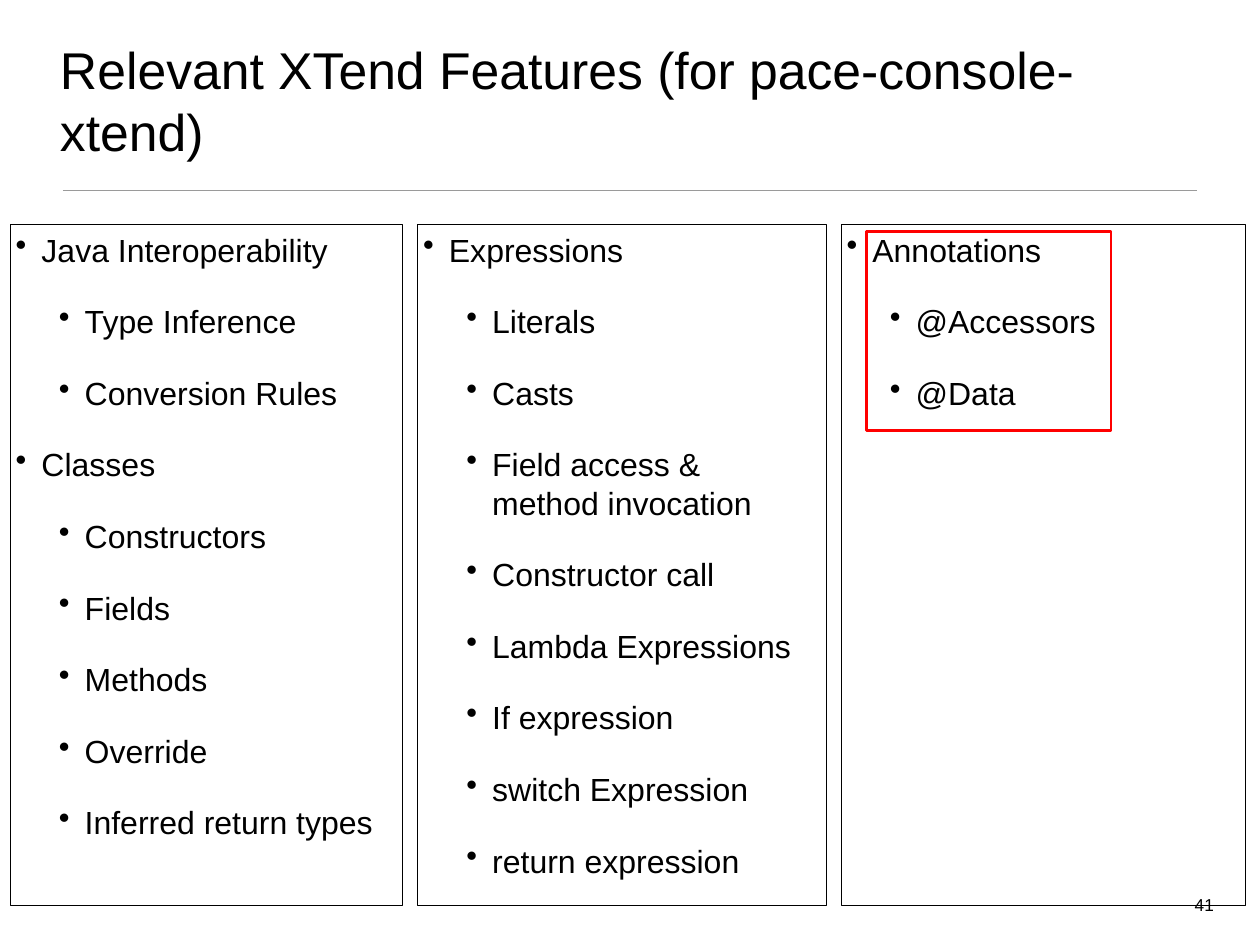
import dataclasses
import typing

import lxml.etree
import pptx
import pptx.dml.color
import pptx.enum.shapes
import pptx.enum.text
import pptx.oxml
import pptx.oxml.ns
import pptx.shapes.autoshape
import pptx.slide
import pptx.text.text
import pptx.util

Cm = pptx.util.Cm
Pt = pptx.util.Pt
Color = pptx.dml.color.RGBColor
Align = pptx.enum.text.PP_ALIGN
Anchor = pptx.enum.text.MSO_ANCHOR

BLACK = Color(0x00, 0x00, 0x00)
GRAY = Color(0x9A, 0x9A, 0x9A)
RED = Color(0xFF, 0x00, 0x00)

FONT = "Arial"
INSET = 0.15
HANG = 0.74
INDENTS = (0.74, 1.98)
LEFT, TOP, HEIGHT, GAP = 0.3, 6.45, 19.51, 0.43


@dataclasses.dataclass
class Topic:
    head: str
    items: list[str]


@dataclasses.dataclass
class Column:
    width: float
    topics: list[Topic]


@dataclasses.dataclass
class Box:
    left: float
    top: float
    width: float
    height: float

    def place(self) -> tuple[pptx.util.Length, ...]:
        return Cm(self.left), Cm(self.top), Cm(self.width), Cm(self.height)


COLUMNS = [
    Column(11.25, [
        Topic("Java Interoperability", ["Type Inference", "Conversion Rules"]),
        Topic("Classes", ["Constructors", "Fields", "Methods", "Override",
                          "Inferred return types"]),
    ]),
    Column(11.71, [
        Topic("Expressions", ["Literals", "Casts",
                              "Field access & \nmethod invocation",
                              "Constructor call", "Lambda Expressions",
                              "If expression", "switch Expression",
                              "return expression"]),
    ]),
    Column(11.58, [Topic("Annotations", ["@Accessors", "@Data"])]),
]


def set_frame(frame: pptx.text.text.TextFrame, anchor: Anchor = Anchor.TOP,
              wrap: bool = True) -> None:
    frame.margin_left = frame.margin_right = Cm(INSET)
    frame.margin_top = frame.margin_bottom = Cm(INSET)
    frame.vertical_anchor = anchor
    frame.word_wrap = wrap


def write(frame: pptx.text.text.TextFrame, text: str, *, size: float,
          align: Align = Align.LEFT, level: typing.Optional[int] = None,
          before: float = 0, lines: float = 1) -> None:
    para = frame.paragraphs[0]
    if para.runs:
        para = frame.add_paragraph()
    para.text = text
    para.alignment = align
    para.space_before = Pt(before)
    para.line_spacing = lines
    for run in para.runs:
        run.font.name = FONT
        run.font.size = Pt(size)
        run.font.color.rgb = BLACK
    if level is not None:
        para.level = level
        props = para._p.get_or_add_pPr()
        props.set("marL", str(Cm(INDENTS[level])))
        props.set("indent", str(-Cm(HANG)))
        mark = lxml.etree.SubElement(props, pptx.oxml.ns.qn("a:buChar"))
        mark.set("char", "•")


def add_frame(slide: pptx.slide.Slide, box: Box, color: Color,
              weight: float) -> pptx.shapes.autoshape.Shape:
    kind = pptx.enum.shapes.MSO_SHAPE.RECTANGLE
    shape = slide.shapes.add_shape(kind, *box.place())
    shape.shadow.inherit = False
    shape.fill.background()
    shape.line.color.rgb = color
    shape.line.width = Pt(weight)
    return shape


def add_text(slide: pptx.slide.Slide, box: Box, text: str, anchor: Anchor,
             wrap: bool, **style: typing.Any) -> None:
    frame = slide.shapes.add_textbox(*box.place()).text_frame
    set_frame(frame, anchor, wrap)
    write(frame, text, **style)


def add_rule(slide: pptx.slide.Slide) -> None:
    kind = pptx.enum.shapes.MSO_CONNECTOR.STRAIGHT
    rule = slide.shapes.add_connector(kind, Cm(1.8), Cm(5.46), Cm(34.32), Cm(5.46))
    rule.line.color.rgb = GRAY
    rule.line.width = Pt(1)
    lxml.etree.SubElement(rule._element.spPr, pptx.oxml.ns.qn("a:effectLst"))


def add_column(slide: pptx.slide.Slide, column: Column, left: float) -> None:
    box = Box(left, TOP, column.width, HEIGHT)
    frame = add_frame(slide, box, BLACK, 1).text_frame
    set_frame(frame)
    for topic in column.topics:
        write(frame, topic.head, size=26, level=0, before=27)
        for item in topic.items:
            write(frame, item, size=26, level=1, before=27)


def main() -> None:
    deck = pptx.Presentation()
    deck.slide_width = Cm(36.12)
    deck.slide_height = Cm(27.1)
    slide = deck.slides.add_slide(deck.slide_layouts[6])

    add_rule(slide)
    add_text(slide, Box(1.57, 0.91, 32.94, 3.89),
             "Relevant XTend Features (for pace-console-xtend)",
             Anchor.BOTTOM, True, size=42)
    left = LEFT
    for column in COLUMNS:
        add_column(slide, column, left)
        left += column.width + GAP
    add_text(slide, Box(34.09, 25.55, 0.86, 0.84), "41",
             Anchor.TOP, False, size=14, align=Align.RIGHT, lines=0.9)
    add_frame(slide, Box(24.84, 6.65, 7.01, 5.69), RED, 2.25)

    deck.save("out.pptx")


if __name__ == "__main__":
    main()
